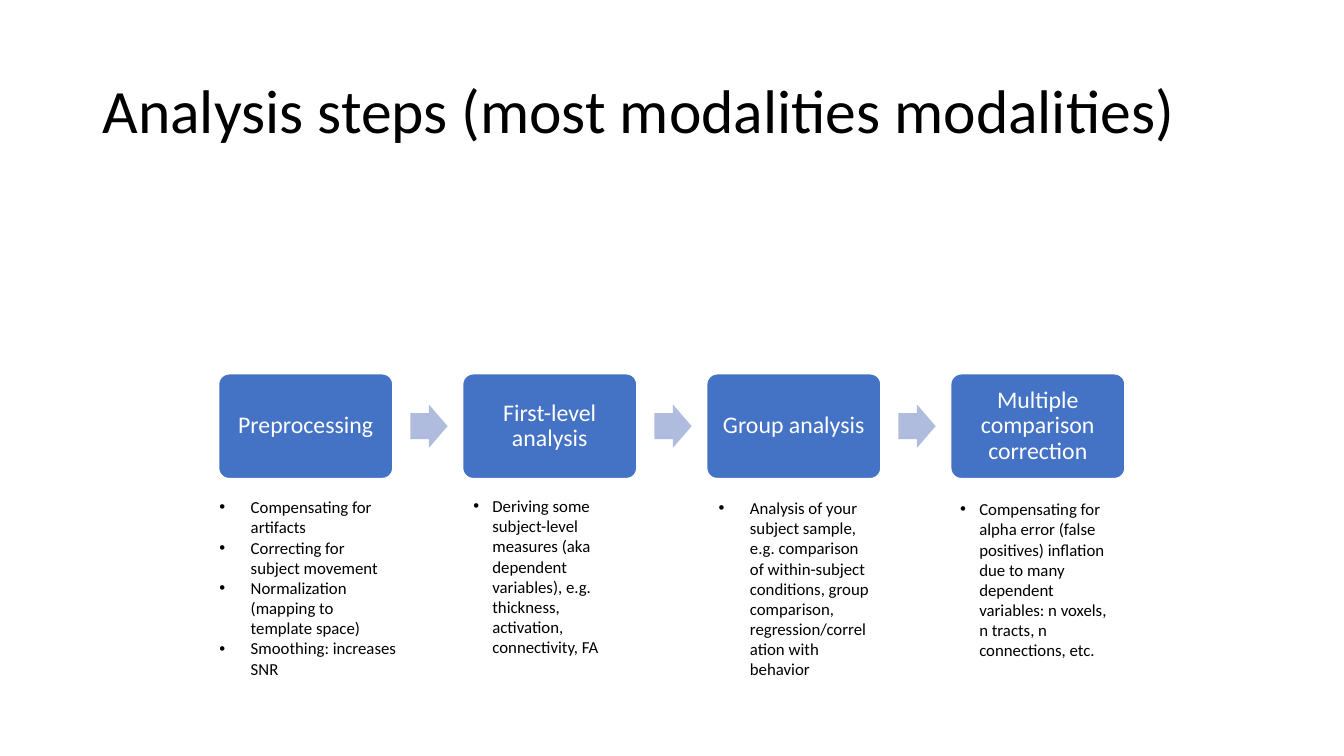
import pptx
import pptx.util
import pptx.dml.color
import pptx.enum.shapes
import pptx.enum.text
import pptx.oxml
from pptx.oxml.ns import qn

Cm = pptx.util.Cm
Pt = pptx.util.Pt
RGBColor = pptx.dml.color.RGBColor
SHAPE = pptx.enum.shapes.MSO_SHAPE
ALIGN = pptx.enum.text.PP_ALIGN
ANCHOR = pptx.enum.text.MSO_ANCHOR
AUTO_SIZE = pptx.enum.text.MSO_AUTO_SIZE

BLACK = RGBColor(0x00, 0x00, 0x00)
WHITE = RGBColor(0xFF, 0xFF, 0xFF)
BLUE = RGBColor(0x44, 0x72, 0xC4)
PALE_BLUE = RGBColor(0xB0, 0xBC, 0xDE)
FONT = "Calibri"

HEADING = "Analysis steps (most modalities modalities)"
STEPS = [
    {
        "name": "Preprocessing",
        "details": [
            "Compensating for artifacts",
            "Correcting for subject movement",
            "Normalization (mapping to template space)",
            "Smoothing: increases SNR",
        ],
        "area": (5.28, 12.4, 4.98, 4.88),
        "indent": 0.79,
    },
    {
        "name": "First-level analysis",
        "details": [
            "Deriving some subject-level measures (aka dependent variables), "
            "e.g. thickness, activation, connectivity, FA",
        ],
        "area": (11.68, 12.37, 4.39, 4.37),
        "indent": 0.48,
    },
    {
        "name": "Group analysis",
        "details": [
            "Analysis of your subject sample, e.g. comparison of within-subject "
            "conditions, group comparison, regression/correlation with behavior",
        ],
        "area": (17.86, 12.42, 4.39, 5.38),
        "indent": 0.79,
    },
    {
        "name": "Multiple comparison correction",
        "details": [
            "Compensating for alpha error (false positives) inflation due to many "
            "dependent variables: n voxels, n tracts, n connections, etc.",
        ],
        "area": (23.95, 12.45, 4.39, 4.37),
        "indent": 0.48,
    },
]

STEP_LEFT, STEP_TOP, STEP_WIDTH, STEP_HEIGHT = 5.51, 9.42, 4.39, 2.64
STEP_PITCH = 6.15
ARROW_WIDTH, ARROW_HEIGHT = 0.94, 1.09
ARROW_OFFSET = STEP_WIDTH + (STEP_PITCH - STEP_WIDTH - ARROW_WIDTH) / 2 + 0.03
ARROW_TOP = STEP_TOP + (STEP_HEIGHT - ARROW_HEIGHT) / 2


def add_run(paragraph, text, size, color):
    run = paragraph.add_run()
    run.text = text
    run.font.name = FONT
    run.font.size = Pt(size)
    run.font.color.rgb = color


def add_block(slide, kind, area, fill, adjustments):
    block = slide.shapes.add_shape(kind, *map(Cm, area))
    block.shadow.inherit = False
    block.fill.solid()
    block.fill.fore_color.rgb = fill
    for position, value in enumerate(adjustments):
        block.adjustments[position] = value
    return block


def add_step(slide, left, name):
    step = add_block(slide, SHAPE.ROUNDED_RECTANGLE,
                     (left, STEP_TOP, STEP_WIDTH, STEP_HEIGHT), BLUE, [0.1])
    step.line.color.rgb = WHITE
    step.line.width = Pt(1)
    frame = step.text_frame
    frame.word_wrap = True
    frame.vertical_anchor = ANCHOR.MIDDLE
    frame.margin_left = frame.margin_right = Cm(0.25)
    frame.margin_top = frame.margin_bottom = Cm(0.25)
    paragraph = frame.paragraphs[0]
    paragraph.alignment = ALIGN.CENTER
    paragraph.line_spacing = 0.9
    add_run(paragraph, name, 17, WHITE)


def add_arrow(slide, left):
    arrow = add_block(slide, SHAPE.RIGHT_ARROW,
                      (left, ARROW_TOP, ARROW_WIDTH, ARROW_HEIGHT), PALE_BLUE, [0.6, 0.5])
    arrow.line.fill.background()


def add_bullet(paragraph, indent):
    properties = paragraph._p.get_or_add_pPr()
    properties.set("marL", str(Cm(indent)))
    properties.set("indent", str(-Cm(indent)))
    for tag, key, value in (("a:buFont", "typeface", "Arial"), ("a:buChar", "char", "•")):
        element = pptx.oxml.xmlchemy.OxmlElement(tag)
        element.set(key, value)
        properties.append(element)


def add_details(slide, area, details, indent):
    frame = slide.shapes.add_textbox(*map(Cm, area)).text_frame
    frame.word_wrap = True
    frame.auto_size = AUTO_SIZE.SHAPE_TO_FIT_TEXT
    for position, detail in enumerate(details):
        paragraph = frame.add_paragraph() if position else frame.paragraphs[0]
        add_bullet(paragraph, indent)
        add_run(paragraph, detail, 12, BLACK)


def add_heading(slide):
    title = slide.shapes.title
    title.left, title.top, title.width, title.height = map(Cm, (2.33, 1.01, 29.21, 3.68))
    frame = title.text_frame
    frame.word_wrap = True
    frame.auto_size = AUTO_SIZE.NONE
    frame.vertical_anchor = ANCHOR.MIDDLE
    paragraph = frame.paragraphs[0]
    paragraph.alignment = ALIGN.LEFT
    paragraph.line_spacing = 0.9
    add_run(paragraph, HEADING, 44, BLACK)


def main():
    deck = pptx.Presentation()
    deck.slide_width, deck.slide_height = Cm(33.87), Cm(19.05)
    slide = deck.slides.add_slide(deck.slide_layouts[5])
    add_heading(slide)
    for position, step in enumerate(STEPS):
        left = STEP_LEFT + position * STEP_PITCH
        add_step(slide, left, step["name"])
        if position < len(STEPS) - 1:
            add_arrow(slide, left + ARROW_OFFSET)
        add_details(slide, step["area"], step["details"], step["indent"])
    deck.save("out.pptx")


if __name__ == "__main__":
    main()
